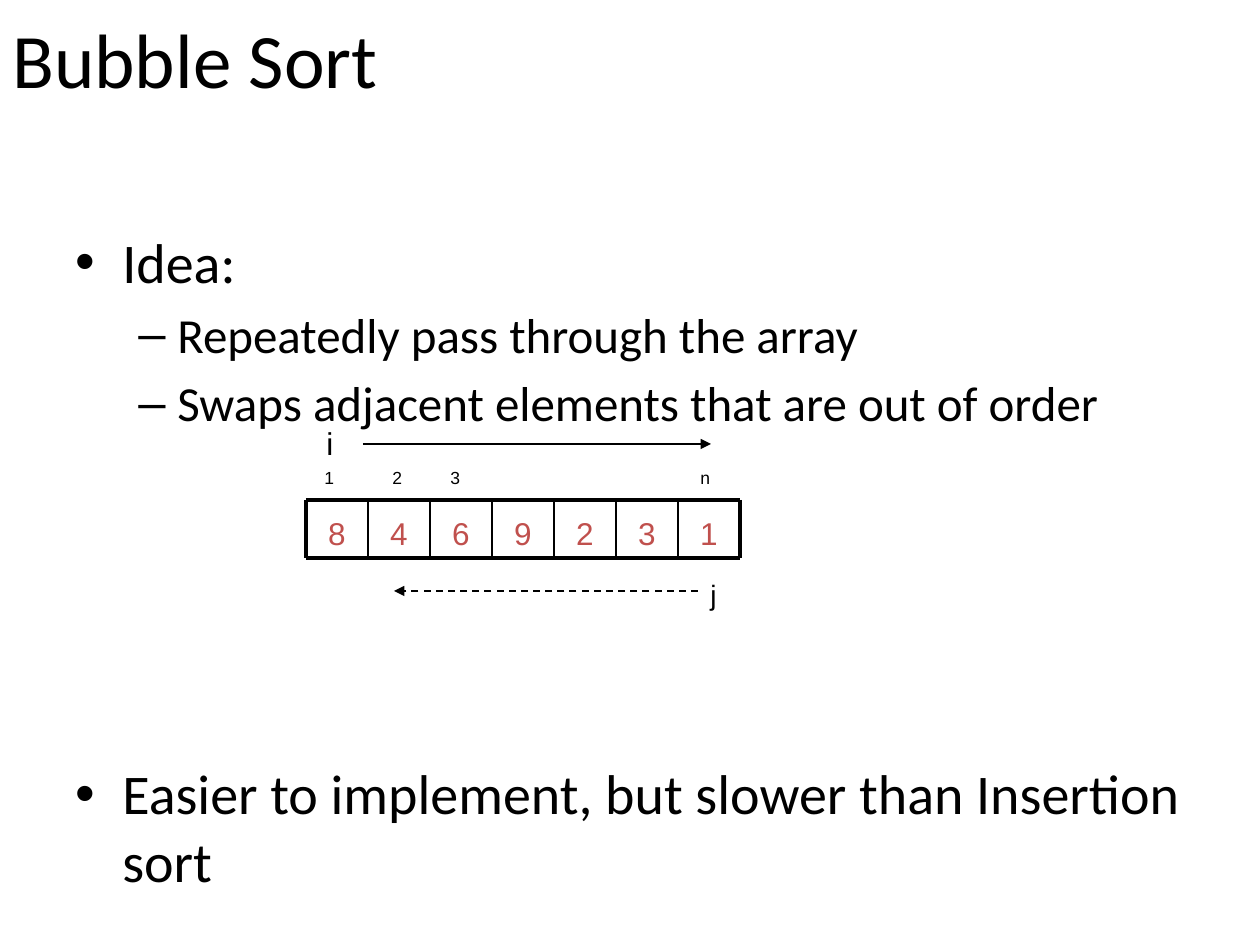
from lxml.etree import SubElement
from pptx import Presentation
from pptx.dml.color import RGBColor
from pptx.enum.dml import MSO_LINE
from pptx.enum.shapes import MSO_CONNECTOR
from pptx.enum.text import MSO_ANCHOR, PP_ALIGN
from pptx.oxml.ns import qn
from pptx.util import Pt

EMU_PER_PX = 914400 / 126
BLACK, RED = "000000", "C0504D"


def px(length):
    return round(length * EMU_PER_PX)


def color(value):
    return RGBColor.from_string(value)


def write(paragraph, text, size=18, font="Arial", fill=BLACK,
          align=PP_ALIGN.LEFT, before=0):
    paragraph.alignment = align
    paragraph.space_before = Pt(before)
    run = paragraph.add_run()
    run.text = text
    run.font.size = Pt(size)
    run.font.name = font
    run.font.color.rgb = color(fill)


class SlideBuilder:
    """Holds the current slide and draws its text, bullets and lines."""

    bullet_styles = {
        0: {"mark": "•", "margin": 47, "hanging": 47, "size": 32},
        1: {"mark": "–", "margin": 102, "hanging": 39, "size": 28},
    }

    def __init__(self, presentation):
        self.slide = presentation.slides.add_slide(presentation.slide_layouts[6])

    def frame(self, left, top, width, height, anchor=MSO_ANCHOR.TOP):
        shape = self.slide.shapes.add_textbox(px(left), px(top), px(width), px(height))
        shape.text_frame.word_wrap = True
        shape.text_frame.vertical_anchor = anchor
        return shape.text_frame

    def text(self, text, left, top, width, height, anchor=MSO_ANCHOR.TOP, **style):
        write(self.frame(left, top, width, height, anchor).paragraphs[0], text, **style)

    def bullets(self, items, left, top, width, height):
        frame = self.frame(left, top, width, height)
        for index, (level, before, text) in enumerate(items):
            paragraph = frame.add_paragraph() if index else frame.paragraphs[0]
            style = self.bullet_styles[level]
            paragraph.level = level
            properties = paragraph._p.get_or_add_pPr()
            properties.set("marL", str(px(style["margin"])))
            properties.set("indent", str(-px(style["hanging"])))
            SubElement(properties, qn("a:buFont"), typeface="Arial")
            SubElement(properties, qn("a:buChar"), char=style["mark"])
            write(paragraph, text, size=style["size"], font="Calibri", before=before)

    def line(self, start, end, width, arrow=False, dashed=False):
        connector = self.slide.shapes.add_connector(
            MSO_CONNECTOR.STRAIGHT, *map(px, start + end))
        connector.line.color.rgb = color(BLACK)
        connector.line.width = Pt(width)
        if dashed:
            connector.line.dash_style = MSO_LINE.DASH
        if arrow:
            SubElement(connector.line._get_or_add_ln(), qn("a:tailEnd"), type="triangle")
        SubElement(connector._element.spPr, qn("a:effectLst"))

    def array(self, values, left, top, cell_width, height):
        right, bottom = left + len(values) * cell_width, top + height
        for index, value in enumerate(values):
            self.text(value, left + index * cell_width, top, cell_width, height,
                      anchor=MSO_ANCHOR.BOTTOM, fill=RED, align=PP_ALIGN.CENTER)
        for y in (top, bottom):
            self.line((left, y), (right, y), 2.25)
        for index in range(len(values) + 1):
            x = left + index * cell_width
            self.line((x, top), (x, bottom), 2.25 if x in (left, right) else 1)


def main():
    presentation = Presentation()
    presentation.slide_width, presentation.slide_height = px(1260), px(945)
    builder = SlideBuilder(presentation)
    builder.text("Bubble Sort", 0, -21, 1134, 157, anchor=MSO_ANCHOR.MIDDLE,
                 size=44, font="Calibri")
    builder.bullets([
        (0, 0, "Idea:"),
        (1, 5.6, "Repeatedly pass through the array"),
        (1, 5.6, "Swaps adjacent elements that are out of order"),
        (0, 187, "Easier to implement, but slower than Insertion sort"),
    ], 63, 221, 1134, 624)
    for label, left in (("1", 312), ("2", 380), ("3", 438), ("n", 688)):
        builder.text(label, left, 461, 32, 34, size=10)
    builder.text("i", 314, 418, 33, 50)
    builder.line((363, 444), (711, 444), 0.75, arrow=True)
    builder.array("8469231", 306, 500, 62, 58)
    builder.text("j", 698, 571, 32, 47, size=16)
    builder.line((698, 591), (394, 591), 1, arrow=True, dashed=True)
    presentation.save("out.pptx")


if __name__ == "__main__":
    main()
